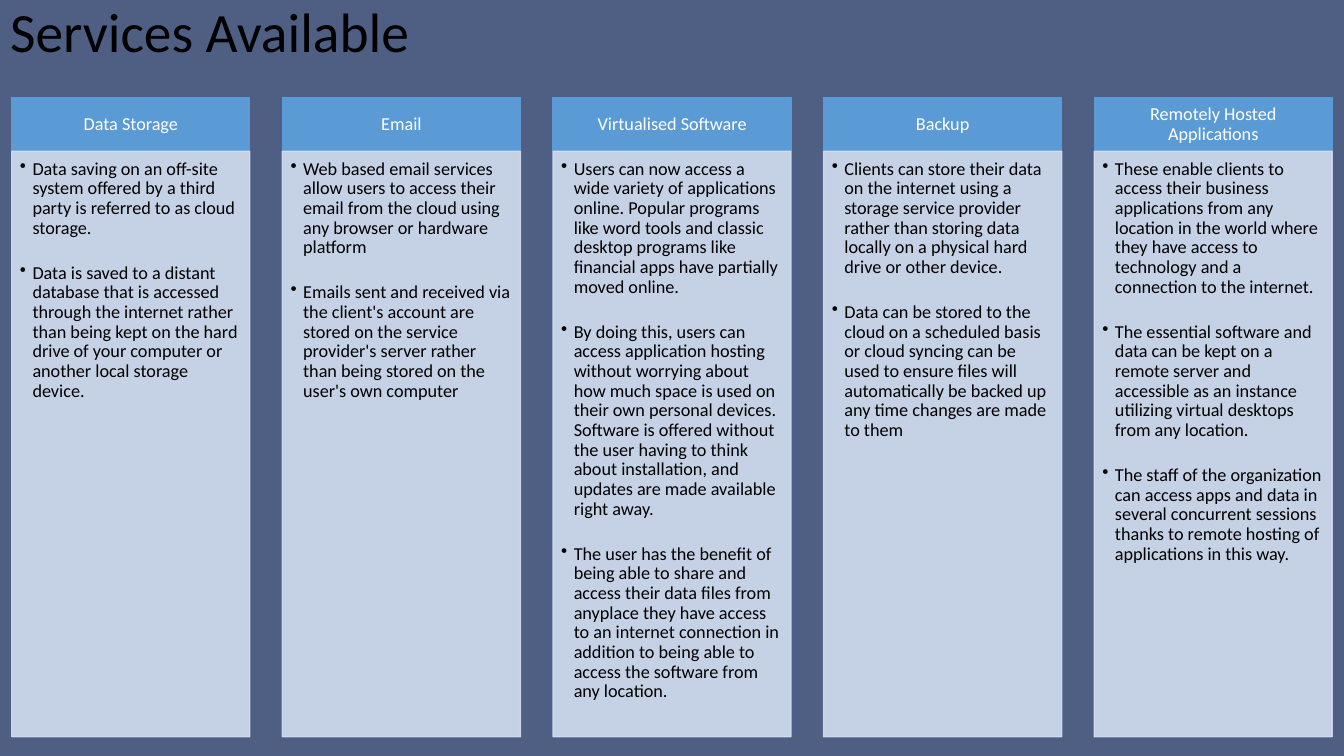
from lxml.etree import SubElement
from pptx import Presentation
from pptx.dml.color import RGBColor
from pptx.enum.shapes import MSO_SHAPE
from pptx.enum.text import MSO_ANCHOR, MSO_AUTO_SIZE, PP_ALIGN
from pptx.oxml.ns import qn
from pptx.util import Pt

# Column layout, in points
FIRST_LEFT, COLUMN_PITCH, COLUMN_WIDTH = 8.4, 193.3, 170
HEADER_TOP, HEADER_HEIGHT, LIST_HEIGHT = 69.8, 38.2, 418.3

SERVICES = {
    "Data Storage": [
        "Data saving on an off-site system offered by a third party is referred to as "
        "cloud storage.",
        "Data is saved to a distant database that is accessed through the internet rather "
        "than being kept on the hard drive of your computer or another local storage device.",
    ],
    "Email": [
        "Web based email services allow users to access their email from the cloud using "
        "any browser or hardware platform",
        "Emails sent and received via the client's account are stored on the service "
        "provider's server rather than being stored on the user's own computer",
    ],
    "Virtualised Software": [
        "Users can now access a wide variety of applications online. Popular programs like "
        "word tools and classic desktop programs like financial apps have partially moved "
        "online.",
        "By doing this, users can access application hosting without worrying about how "
        "much space is used on their own personal devices. Software is offered without the "
        "user having to think about installation, and updates are made available right away.",
        "The user has the benefit of being able to share and access their data files from "
        "anyplace they have access to an internet connection in addition to being able to "
        "access the software from any location.",
    ],
    "Backup": [
        "Clients can store their data on the internet using a storage service provider "
        "rather than storing data locally on a physical hard drive or other device.",
        "Data can be stored to the cloud on a scheduled basis or cloud syncing can be used "
        "to ensure files will automatically be backed up any time changes are made to them",
    ],
    "Remotely Hosted Applications": [
        "These enable clients to access their business applications from any location in "
        "the world where they have access to technology and a connection to the internet.",
        "The essential software and data can be kept on a remote server and accessible as "
        "an instance utilizing virtual desktops from any location.",
        "The staff of the organization can access apps and data in several concurrent "
        "sessions thanks to remote hosting of applications in this way.",
    ],
}


def color(hex_string):
    return RGBColor.from_string(hex_string)


class ServicePage:
    font_name = "Calibri"
    text_size = 13
    background = "4F5E83"
    header_fill = "5B9BD5"
    list_fill = "D2DEEF"
    header_text = "FFFFFF"
    dark_text = "000000"

    def __init__(self, deck):
        self.page = deck.slides.add_slide(deck.slide_layouts[5])
        fill = self.page.background.fill
        fill.solid()
        fill.fore_color.rgb = color(self.background)

    def style(self, paragraph, size, text_color, alignment=PP_ALIGN.LEFT):
        paragraph.alignment = alignment
        paragraph.line_spacing = 0.9
        paragraph.font.name = self.font_name
        paragraph.font.size = Pt(size)
        paragraph.font.color.rgb = color(text_color)

    def title(self, text, width, height):
        box = self.page.shapes.title
        box.left, box.top, box.width, box.height = Pt(0), Pt(0), Pt(width), Pt(height)
        frame = box.text_frame
        frame.text = text
        frame.auto_size = MSO_AUTO_SIZE.NONE
        frame.vertical_anchor = MSO_ANCHOR.MIDDLE
        self.style(frame.paragraphs[0], 39.6, self.dark_text)

    def panel(self, left, top, height, fill_color, margins, anchor):
        box = self.page.shapes.add_shape(
            MSO_SHAPE.RECTANGLE, Pt(left), Pt(top), Pt(COLUMN_WIDTH), Pt(height))
        box.shadow.inherit = False
        box.fill.solid()
        box.fill.fore_color.rgb = color(fill_color)
        box.line.color.rgb = color(fill_color)
        box.line.width = Pt(1)
        frame = box.text_frame
        frame.word_wrap = True
        frame.vertical_anchor = anchor
        (frame.margin_left, frame.margin_top,
         frame.margin_right, frame.margin_bottom) = map(Pt, margins)
        return box

    def header(self, left, text):
        box = self.panel(left, HEADER_TOP, HEADER_HEIGHT, self.header_fill,
                         (7.2, 4.3, 7.2, 4.3), MSO_ANCHOR.MIDDLE)
        box.text_frame.text = text
        self.style(box.text_frame.paragraphs[0], self.text_size, self.header_text,
                   PP_ALIGN.CENTER)

    def bullet_list(self, left, items):
        box = self.panel(left, HEADER_TOP + HEADER_HEIGHT, LIST_HEIGHT, self.list_fill,
                         (5.8, 5.8, 7.2, 7.9), MSO_ANCHOR.TOP)
        # Fill and outline are slightly transparent
        for shade in box.element.spPr.iter(qn("a:srgbClr")):
            SubElement(shade, qn("a:alpha"), val="90000")
        frame = box.text_frame
        for index, item in enumerate(items):
            paragraph = frame.add_paragraph() if index else frame.paragraphs[0]
            paragraph.text = item
            properties = paragraph._p.get_or_add_pPr()
            properties.set("marL", str(Pt(9)))
            properties.set("indent", str(-Pt(9)))
            SubElement(properties, qn("a:buChar"), char="•")
            if index:
                paragraph.space_before = Pt(18)
            self.style(paragraph, self.text_size, self.dark_text)


def main():
    deck = Presentation()
    deck.slide_width, deck.slide_height = Pt(960), Pt(540)
    service_page = ServicePage(deck)
    service_page.title("Services Available", 960, 49.7)

    # One header and list per service
    for column, (name, items) in enumerate(SERVICES.items()):
        left = FIRST_LEFT + column * COLUMN_PITCH
        service_page.header(left, name)
        service_page.bullet_list(left, items)

    deck.save("out.pptx")


if __name__ == "__main__":
    main()
